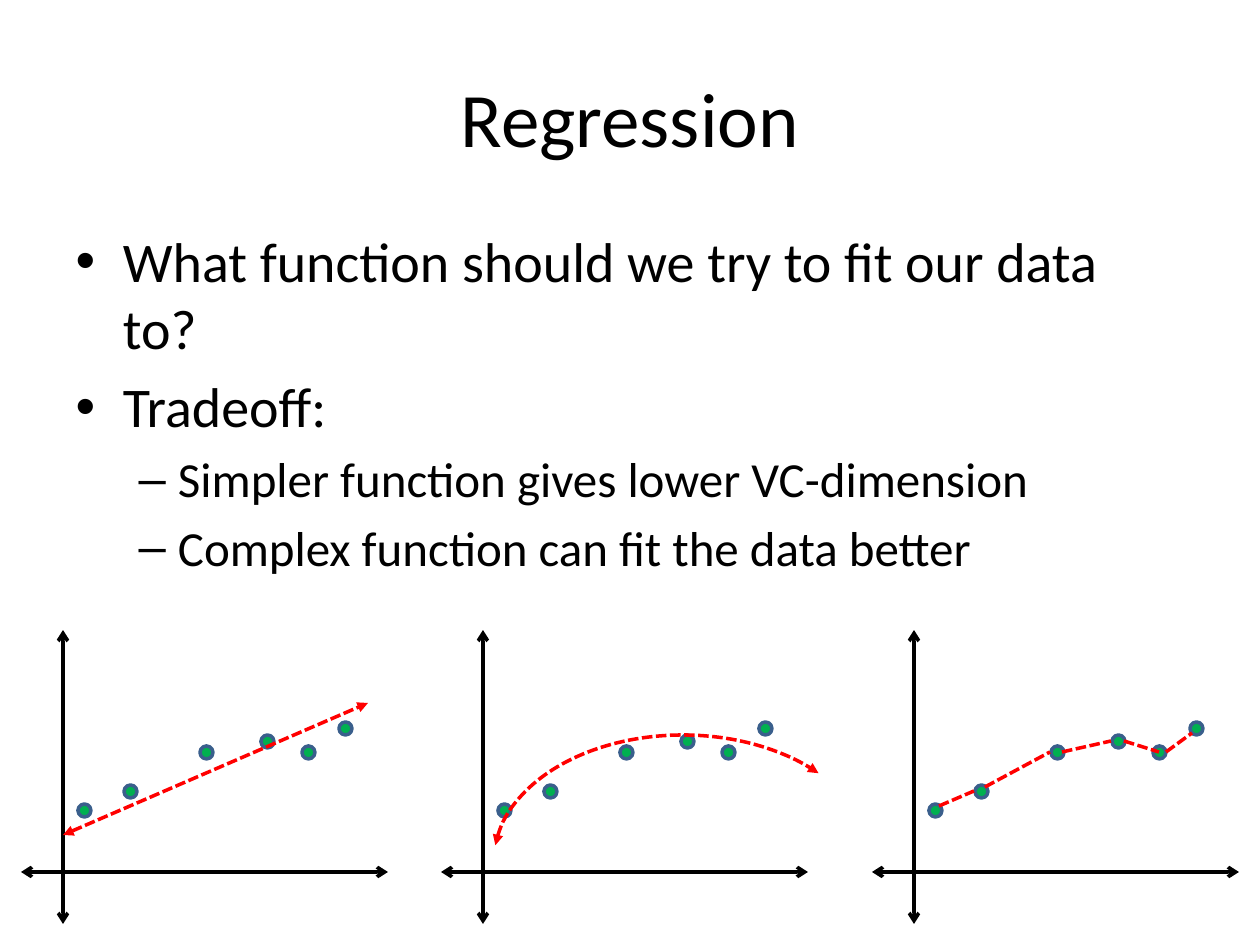
from dataclasses import dataclass

from lxml.etree import SubElement
from pptx import Presentation
from pptx.dml.color import RGBColor
from pptx.enum.dml import MSO_LINE
from pptx.enum.shapes import MSO_CONNECTOR, MSO_SHAPE
from pptx.enum.text import MSO_ANCHOR, MSO_AUTO_SIZE, PP_ALIGN
from pptx.oxml.ns import qn
from pptx.util import Emu, Pt

PX = 914400 / 126


def px(length):
    return Emu(round(length * PX))


@dataclass(frozen=True)
class Theme:
    font: str = "Calibri"
    title_size: int = 44
    body_sizes: tuple = (32, 28)
    line_width: int = 2
    ink: RGBColor = RGBColor(0, 0, 0)
    fit: RGBColor = RGBColor(0xFF, 0, 0)
    dot_fill: RGBColor = RGBColor(0, 0xB0, 0x50)
    dot_edge: RGBColor = RGBColor(0x3A, 0x5F, 0x8C)


class SlideBuilder:
    def __init__(self, slide, theme):
        self.slide = slide
        self.theme = theme

    def _place(self, shape, left, top, width, height):
        shape.left, shape.top = px(left), px(top)
        shape.width, shape.height = px(width), px(height)

    def _font(self, paragraph, size):
        for run in paragraph.runs:
            run.font.name = self.theme.font
            run.font.size = Pt(size)
            run.font.color.rgb = self.theme.ink

    def _stroke(self, shape, color, dashed=False, arrow=None):
        """Style an outline; arrow names the head drawn at both ends."""
        shape.line.color.rgb = color
        shape.line.width = Pt(self.theme.line_width)
        if dashed:
            shape.line.dash_style = MSO_LINE.SQUARE_DOT
        if arrow:
            outline = shape.line._get_or_add_ln()
            for end in ("a:headEnd", "a:tailEnd"):
                SubElement(outline, qn(end), type=arrow)

    def title(self, text, *box):
        title = self.slide.shapes.title
        self._place(title, *box)
        frame = title.text_frame
        frame.text = text
        frame.auto_size = MSO_AUTO_SIZE.NONE
        frame.vertical_anchor = MSO_ANCHOR.MIDDLE
        frame.paragraphs[0].alignment = PP_ALIGN.CENTER
        self._font(frame.paragraphs[0], self.theme.title_size)

    def bullets(self, items, *box):
        """Fill the body with (level, text) items, bulleted by the template."""
        body = self.slide.placeholders[1]
        self._place(body, *box)
        frame = body.text_frame
        frame.auto_size = MSO_AUTO_SIZE.NONE
        for index, (level, text) in enumerate(items):
            paragraph = frame.add_paragraph() if index else frame.paragraphs[0]
            paragraph.text = text
            paragraph.level = level
            self._font(paragraph, self.theme.body_sizes[level])
        frame.paragraphs[0].space_before = Pt(0)

    def line(self, start, end, color, dashed=False, arrow=None):
        ends = [px(value) for value in (*start, *end)]
        line = self.slide.shapes.add_connector(MSO_CONNECTOR.STRAIGHT, *ends)
        self._stroke(line, color, dashed, arrow)
        SubElement(line._element.spPr, qn("a:effectLst"))

    def fit_line(self, start, end, arrow=None):
        self.line(start, end, self.theme.fit, dashed=True, arrow=arrow)

    def fit_arc(self, angles, *box):
        arc = self.slide.shapes.add_shape(MSO_SHAPE.ARC, *map(px, box))
        arc.shadow.inherit = False
        arc.fill.background()
        for index, angle in enumerate(angles):
            arc.adjustments[index] = angle * 0.6  # 60000ths of a degree
        self._stroke(arc, self.theme.fit, dashed=True, arrow="triangle")

    def dot(self, left, top, size=13):
        dot = self.slide.shapes.add_shape(
            MSO_SHAPE.OVAL, px(left), px(top), px(size), px(size))
        dot.shadow.inherit = False
        dot.fill.solid()
        dot.fill.fore_color.rgb = self.theme.dot_fill
        self._stroke(dot, self.theme.dot_edge)

    def scatter(self, axis_x, data):
        """Draw both axes around axis_x, with dots offset from it."""
        ink = self.theme.ink
        self.line((axis_x, 630), (axis_x, 924), ink, arrow="arrow")
        self.line((axis_x - 42, 872), (axis_x + 325, 872), ink, arrow="arrow")
        for offset, top in data:
            self.dot(axis_x + offset, top)


BULLETS = [
    (0, "What function should we try to fit our data to?"),
    (0, "Tradeoff:"),
    (1, "Simpler function gives lower VC-dimension"),
    (1, "Complex function can fit the data better"),
]
DATA = [(15, 804), (61, 785), (137, 746), (198, 735), (239, 746), (276, 722)]
LINEAR_X, CURVED_X, PIECEWISE_X = 63, 483, 914
# Pieces between neighbouring dots, offset from the vertical axis
PIECES = [
    ((25, 806), (60, 791)),
    ((71, 787), (136, 752)),
    ((148, 752), (197, 741)),
    ((210, 741), (245, 752)),
    ((252, 752), (278, 733)),
]


def main():
    deck = Presentation()
    deck.slide_width, deck.slide_height = px(1260), px(945)
    page = SlideBuilder(deck.slides.add_slide(deck.slide_layouts[1]), Theme())

    page.title("Regression", 63, 38, 1134, 158)
    page.bullets(BULLETS, 63, 220, 1134, 624)

    for axis_x in (LINEAR_X, CURVED_X, PIECEWISE_X):
        page.scatter(axis_x, DATA)

    page.fit_line((LINEAR_X, 835), (368, 703), arrow="triangle")
    page.fit_arc((184.79, 327.11), 494, 735, 378, 252)
    for (start_x, start_y), (end_x, end_y) in PIECES:
        page.fit_line((PIECEWISE_X + start_x, start_y),
                      (PIECEWISE_X + end_x, end_y))

    deck.save("out.pptx")


if __name__ == "__main__":
    main()
